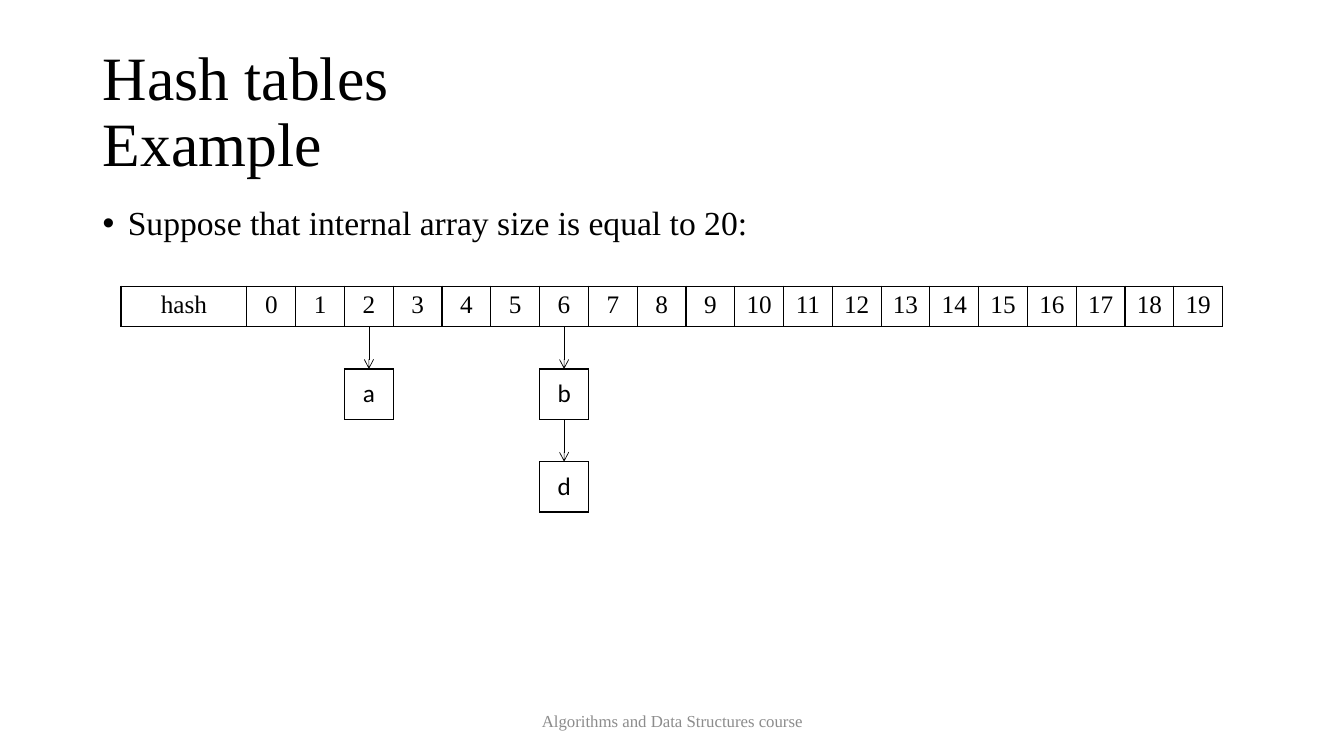
import pptx
import pptx.dml.color
import pptx.enum.shapes
import pptx.enum.text
import pptx.oxml
import pptx.oxml.ns
import pptx.util

ALIGN = pptx.enum.text.PP_ALIGN
ANCHOR = pptx.enum.text.MSO_ANCHOR
BLACK, WHITE, GREY = "000000", "FFFFFF", "8C8C8C"

SLOT_COUNT = 20
HASH_LEFT, HASH_WIDTH = 2.48, 2.58
ARRAY_TOP, ARRAY_HEIGHT = 5.68, 0.8
ARROW_LENGTH, NODE_SIZE = 0.84, 1
CHAINS = {2: ["a"], 6: ["b", "d"]}


def colour(hex_value):
    return pptx.dml.color.RGBColor.from_string(hex_value)


def add_xml(parent, tag, inner="", **attributes):
    """Append a DrawingML element, given its tag, inner XML and attributes."""
    values = " ".join(f'{name}="{value}"' for name, value in attributes.items())
    namespace = pptx.oxml.ns.nsdecls("a")
    parent.append(pptx.oxml.parse_xml(f"<a:{tag} {namespace} {values}>{inner}</a:{tag}>"))


class Page:
    """One slide on a grid: a column is an array slot wide, a row is half an inch."""

    column = pptx.util.Inches(0.484)
    row = pptx.util.Inches(0.5)
    serif, sans = "Times New Roman", "Calibri"

    def __init__(self, deck):
        self.slide = deck.slides.add_slide(deck.slide_layouts[5])

    def x(self, columns):
        return round(columns * self.column)

    def y(self, rows):
        return round(rows * self.row)

    def area(self, left, top, width, height):
        return self.x(left), self.y(top), self.x(width), self.y(height)

    def set_para(self, para, text, size, font=serif, ink=BLACK, **formats):
        """Fill a paragraph; each line of the text after the first follows a break."""
        for name, value in formats.items():
            setattr(para, name, value)
        for index, line in enumerate(text.splitlines()):
            if index:
                para.add_line_break()
            span = para.add_run()
            span.text = line
            for name, value in {"size": pptx.util.Pt(size), "name": font}.items():
                setattr(span.font, name, value)
            span.font.color.rgb = colour(ink)

    def frame(self, box, anchor):
        settings = {
            "word_wrap": True,
            "auto_size": pptx.enum.text.MSO_AUTO_SIZE.NONE,
            "vertical_anchor": anchor,
        }
        for name, value in settings.items():
            setattr(box.text_frame, name, value)
        return box.text_frame.paragraphs[0]

    def title(self, text, *place):
        box = self.slide.shapes.title
        for name, value in zip(("left", "top", "width", "height"), self.area(*place)):
            setattr(box, name, value)
        para = self.frame(box, ANCHOR.MIDDLE)
        self.set_para(para, text, 44, alignment=ALIGN.LEFT, line_spacing=0.9)

    def text(self, text, *place, size, anchor=ANCHOR.TOP, **formats):
        box = self.slide.shapes.add_textbox(*self.area(*place))
        para = self.frame(box, anchor)
        self.set_para(para, text, size, **formats)
        return para

    def bullet(self, text, *place, size):
        para = self.text(text, *place, size=size, line_spacing=0.9,
                         space_before=pptx.util.Pt(10))
        properties = para._p.get_or_add_pPr()
        indent = pptx.util.Inches(0.25)
        properties.set("marL", str(indent))
        properties.set("indent", str(-indent))
        add_xml(properties, "buFont", typeface="Arial")
        add_xml(properties, "buChar", char="•")

    def cells(self, labels, widths, left, top, height, font=serif, anchor=ANCHOR.TOP):
        """Draw a one-row table with black borders."""
        table = self.slide.shapes.add_table(
            1, len(labels), *self.area(left, top, sum(widths), height)).table
        table.first_row = table.horz_banding = False
        ink = f'<a:solidFill><a:srgbClr val="{BLACK}"/></a:solidFill>'
        for index, (label, width) in enumerate(zip(labels, widths)):
            table.columns[index].width = self.x(width)
            cell = table.cell(0, index)
            cell.vertical_anchor = anchor
            self.set_para(cell.text_frame.paragraphs[0], label, 18, font,
                          alignment=ALIGN.CENTER)
            properties = cell._tc.get_or_add_tcPr()
            for side in ("lnL", "lnR", "lnT", "lnB"):
                add_xml(properties, side, ink, w=pptx.util.Pt(1))
            cell.fill.solid()
            cell.fill.fore_color.rgb = colour(WHITE)

    def arrow_down(self, centre, top, length):
        arrow = self.slide.shapes.add_connector(
            pptx.enum.shapes.MSO_CONNECTOR.STRAIGHT,
            self.x(centre), self.y(top), self.x(centre), self.y(top + length))
        arrow.line.width = pptx.util.Pt(0.5)
        arrow.line.color.rgb = colour(BLACK)
        add_xml(arrow.line._get_or_add_ln(), "tailEnd", type="arrow")
        add_xml(arrow._element.spPr, "effectLst")

    def chain(self, centre, top, labels):
        """Hang a linked list of nodes below an array slot."""
        for label in labels:
            self.arrow_down(centre, top, ARROW_LENGTH)
            top += ARROW_LENGTH
            self.cells([label], [NODE_SIZE], centre - NODE_SIZE / 2, top, NODE_SIZE,
                       self.sans, ANCHOR.MIDDLE)
            top += NODE_SIZE


def main():
    deck = pptx.Presentation()
    deck.slide_width = pptx.util.Inches(13.33)
    deck.slide_height = pptx.util.Inches(7.5)
    page = Page(deck)
    page.title("""Hash tables
Example""", 1.9, 0.8, 23.76, 2.9)
    page.bullet("Suppose that internal array size is equal to 20:",
                1.9, 4, 23.76, 9.52, size=24)
    page.text("Algorithms and Data Structures course", 9.13, 13.9, 9.3, 0.8,
              size=12, ink=GREY, anchor=ANCHOR.MIDDLE, alignment=ALIGN.CENTER)
    page.cells(["hash", *map(str, range(SLOT_COUNT))], [HASH_WIDTH] + [1] * SLOT_COUNT,
               HASH_LEFT, ARRAY_TOP, ARRAY_HEIGHT)
    for slot, labels in CHAINS.items():
        page.chain(HASH_LEFT + HASH_WIDTH + slot + 0.5, ARRAY_TOP + ARRAY_HEIGHT, labels)
    deck.save("out.pptx")


if __name__ == "__main__":
    main()
